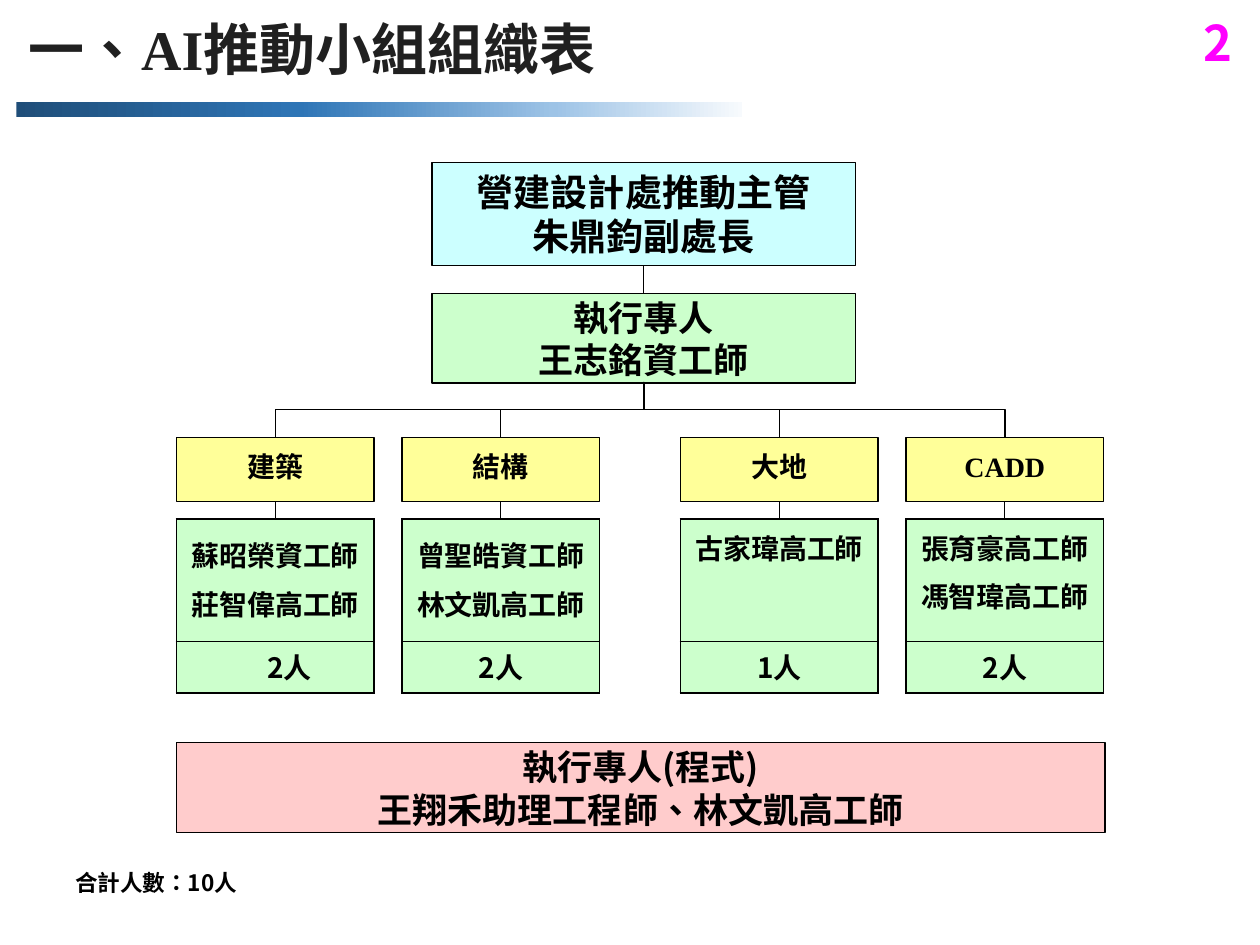
from dataclasses import dataclass

from lxml import etree
from pptx import Presentation
from pptx.dml.color import RGBColor
from pptx.enum.lang import MSO_LANGUAGE_ID
from pptx.enum.shapes import MSO_CONNECTOR, MSO_SHAPE
from pptx.enum.text import MSO_ANCHOR, PP_ALIGN
from pptx.oxml.ns import qn
from pptx.util import Inches, Pt

RECTANGLE = MSO_SHAPE.RECTANGLE
STRAIGHT, ELBOW = MSO_CONNECTOR.STRAIGHT, MSO_CONNECTOR.ELBOW
MIDDLE, TOP = MSO_ANCHOR.MIDDLE, MSO_ANCHOR.TOP
LEFT, CENTER, RIGHT = PP_ALIGN.LEFT, PP_ALIGN.CENTER, PP_ALIGN.RIGHT
CHINESE = MSO_LANGUAGE_ID.TRADITIONAL_CHINESE
SANS, SERIF = "Noto Sans CJK SC", "Times New Roman"
BLACK, GREEN, YELLOW = "000000", "CCFFCC", "FFFF99"
TRUNK_X, BRANCH_WIDTH = 5.11, 1.57
EXECUTIVE_BOTTOM, HEADING_TOP, HEADING_BOTTOM, TABLE_TOP = 3.03, 3.47, 3.98, 4.12
ROW_HEIGHTS = (0.97, 0.41)


@dataclass
class TextStyle:
    size: float
    color: str = BLACK
    align: PP_ALIGN = CENTER
    pitch: float | None = None
    gap: float = 0
    font: str = SANS


@dataclass
class Box:
    left: float
    top: float
    width: float
    height: float
    fill: str
    lines: list[str]
    style: TextStyle


@dataclass
class Branch:
    left: float
    heading: str
    members: list[str]
    count: str
    pitch: float = 28
    gap: float = 0
    font: str = SANS
    line_width: float = 0.75


BOXES = [
    Box(3.43, 1.29, 3.36, 0.82, "CCFFFF", ["營建設計處推動主管", "朱鼎鈞副處長"],
        TextStyle(21.2, pitch=25)),
    Box(3.43, 2.33, 3.36, 0.71, GREEN, ["執行專人", "王志銘資工師"],
        TextStyle(20, pitch=24)),
    Box(1.4, 5.89, 7.37, 0.72, "FFCCCC",
        ["執行專人(程式)", "王翔禾助理工程師、林文凱高工師"],
        TextStyle(20, pitch=24.5)),
]
BRANCHES = [
    Branch(1.4, "建築", ["蘇昭榮資工師", "莊智偉高工師"], "　2人"),
    Branch(3.19, "結構", ["曾聖皓資工師", "林文凱高工師"], "2人"),
    Branch(5.4, "大地", ["古家瑋高工師"], "1人", 24, 3.2, line_width=0.5),
    Branch(7.19, "CADD", ["張育豪高工師", "馮智瑋高工師"], "2人", 24, 3.2, SERIF),
]
GRADIENT = [(0, "1F4E79"), (39, "2E75B6"), (74, "9DC3E6"), (100, "F7FAFD")]


def rgb(value: str) -> RGBColor:
    return RGBColor.from_string(value)


def lengths(*values: float) -> list[int]:
    return [Inches(value) for value in values]


def set_attributes(target, values: dict) -> None:
    for name, value in values.items():
        setattr(target, name, value)


def add_span(para, text: str, style: TextStyle, font: str) -> None:
    span = para.add_run()
    span.text = text
    set_attributes(span.font, {
        "size": Pt(style.size), "bold": True, "name": font, "language_id": CHINESE,
    })
    span.font.color.rgb = rgb(style.color)
    east_asian = etree.Element(qn("a:ea"), typeface=font)
    span.font._element.find(qn("a:latin")).addnext(east_asian)


def write_lines(frame, lines: list[str], style: TextStyle) -> None:
    for index, line in enumerate(lines):
        para = frame.add_paragraph() if index else frame.paragraphs[0]
        para.alignment = style.align
        if style.pitch:
            para.line_spacing = Pt(style.pitch)
        if index and style.gap:
            para.space_before = Pt(style.gap)
        add_span(para, line, style, style.font)


def set_frame(frame) -> None:
    set_attributes(frame, {
        "word_wrap": True, "vertical_anchor": MIDDLE, "margin_left": 0,
        "margin_right": 0, "margin_top": 0, "margin_bottom": 0,
    })


def add_box(page, box: Box) -> None:
    shape = page.shapes.add_shape(
        RECTANGLE, *lengths(box.left, box.top, box.width, box.height))
    shape.shadow.inherit = False
    shape.fill.solid()
    shape.fill.fore_color.rgb = rgb(box.fill)
    shape.line.color.rgb = rgb(BLACK)
    shape.line.width = Pt(0.75)
    set_frame(shape.text_frame)
    write_lines(shape.text_frame, box.lines, box.style)


def add_label(page, area: tuple, text: str, style: TextStyle) -> None:
    frame = page.shapes.add_textbox(*lengths(*area)).text_frame
    frame.word_wrap = True
    write_lines(frame, [text], style)


def add_line(page, kind: MSO_CONNECTOR, start: tuple, end: tuple, width: float):
    connector = page.shapes.add_connector(kind, *lengths(*start, *end))
    connector.line.color.rgb = rgb(BLACK)
    connector.line.width = Pt(width)
    etree.SubElement(connector.element.spPr, qn("a:effectLst"))
    return connector


def add_elbow(page, target_x: float, width: float) -> None:
    drop, reach = HEADING_TOP - EXECUTIVE_BOTTOM, abs(target_x - TRUNK_X)
    left = (target_x + TRUNK_X - drop) / 2
    top = (HEADING_TOP + EXECUTIVE_BOTTOM - reach) / 2
    connector = add_line(page, ELBOW, (left, top), (left + drop, top + reach), width)
    transform = connector.element.spPr.find(qn("a:xfrm"))
    if target_x < TRUNK_X:
        transform.set("rot", "5400000")
    else:
        transform.set("rot", "16200000")
        transform.set("flipH", "1")


def add_borders(cell) -> None:
    properties = cell._tc.get_or_add_tcPr()
    for index, side in enumerate(("lnL", "lnR", "lnT", "lnB")):
        border = etree.Element(qn(f"a:{side}"), w=str(Pt(1)))
        fill = etree.SubElement(border, qn("a:solidFill"))
        etree.SubElement(fill, qn("a:srgbClr"), val=BLACK)
        properties.insert(index, border)


def add_member_table(page, branch: Branch) -> None:
    table = page.shapes.add_table(2, 1, *lengths(
        branch.left, TABLE_TOP, BRANCH_WIDTH, sum(ROW_HEIGHTS))).table
    contents = [
        (branch.members, TextStyle(16, pitch=branch.pitch, gap=branch.gap)),
        ([branch.count], TextStyle(16, pitch=22)),
    ]
    for row, height, (lines, style) in zip(table.rows, ROW_HEIGHTS, contents):
        row.height = Inches(height)
        cell = row.cells[0]
        set_attributes(cell, {
            "margin_left": 0, "margin_right": 0, "margin_top": Inches(0.05),
            "margin_bottom": Inches(0.05), "vertical_anchor": TOP,
        })
        cell.fill.solid()
        cell.fill.fore_color.rgb = rgb(GREEN)
        add_borders(cell)
        write_lines(cell.text_frame, lines, style)


def add_branch(page, branch: Branch) -> None:
    center = branch.left + BRANCH_WIDTH / 2
    add_elbow(page, center, branch.line_width)
    add_line(page, STRAIGHT, (center, HEADING_BOTTOM), (center, TABLE_TOP), 0.5)
    add_box(page, Box(branch.left, HEADING_TOP, BRANCH_WIDTH,
                      HEADING_BOTTOM - HEADING_TOP, YELLOW, [branch.heading],
                      TextStyle(16, pitch=16, font=branch.font)))
    add_member_table(page, branch)


def add_title(page) -> None:
    title = page.shapes.title
    area = lengths(0.23, 0.11, 5.61, 0.54)
    set_attributes(title, dict(zip(("left", "top", "width", "height"), area)))
    set_frame(title.text_frame)
    para = title.text_frame.paragraphs[0]
    para.alignment = LEFT
    style = TextStyle(32, "202020")
    for text, font in (("一、", SANS), ("AI", SERIF), ("推動小組組織表", SANS)):
        add_span(para, text, style, font)


def add_title_bar(page) -> None:
    bar = page.shapes.add_shape(RECTANGLE, *lengths(0.13, 0.81, 5.76, 0.12))
    bar.shadow.inherit = False
    bar.line.fill.background()
    bar.fill.gradient()
    bar.fill.gradient_angle = 0
    stops = bar.element.spPr.find(qn("a:gradFill")).find(qn("a:gsLst"))
    stops.clear()
    for position, color in GRADIENT:
        stop = etree.SubElement(stops, qn("a:gs"), pos=str(position * 1000))
        etree.SubElement(stop, qn("a:srgbClr"), val=color)


def main() -> None:
    deck = Presentation()
    deck.slide_width, deck.slide_height = lengths(10, 7.5)
    page = deck.slides.add_slide(deck.slide_layouts[5])
    add_title(page)
    add_title_bar(page)
    add_label(page, (7.8, 0.05, 2.08, 0.5), "2", TextStyle(28, "FF00FF", RIGHT))
    add_label(page, (0.13, 6.85, 2.22, 0.32), "合計人數：10人", TextStyle(12.9))
    add_line(page, STRAIGHT, (TRUNK_X, 2.11), (TRUNK_X, 2.33), 0.5)
    for box in BOXES:
        add_box(page, box)
    for branch in BRANCHES:
        add_branch(page, branch)
    deck.save("out.pptx")


if __name__ == "__main__":
    main()
